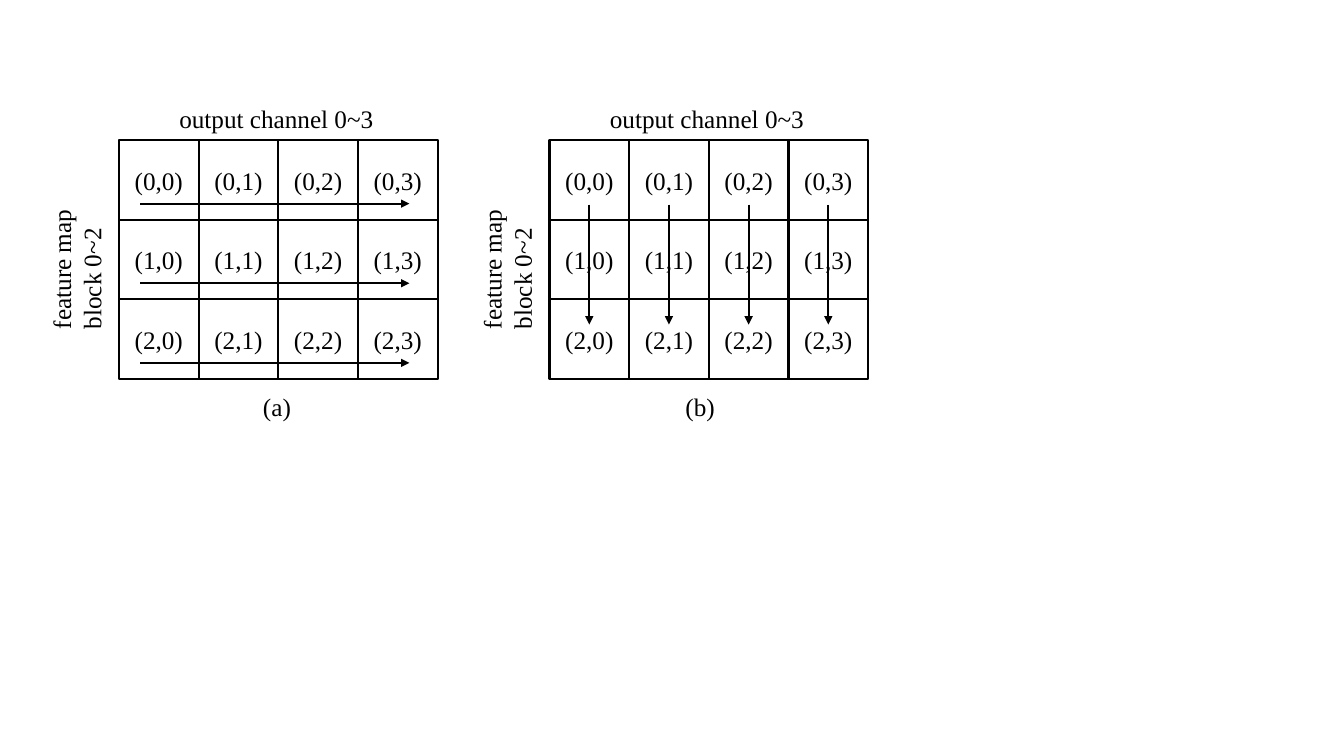
from dataclasses import dataclass
from pptx import Presentation
from pptx.dml.color import RGBColor
from pptx.enum.shapes import MSO_CONNECTOR, MSO_SHAPE
from pptx.enum.text import MSO_ANCHOR, MSO_AUTO_SIZE, PP_ALIGN
from pptx.oxml.ns import qn
from pptx.util import Inches, Pt
from lxml import etree


@dataclass(frozen=True)
class Theme:
    font: str = "Times New Roman"
    size: Pt = Pt(18)
    ink: RGBColor = RGBColor(0, 0, 0)
    line: Pt = Pt(1.5)


theme = Theme()
ROWS, COLUMNS, CELL = 3, 4, 0.79
GRID_TOP = 1.39

prs = Presentation()
prs.slide_width, prs.slide_height = Inches(13.33), Inches(7.5)
slide = prs.slides.add_slide(prs.slide_layouts[6])
shapes = slide.shapes


def write(shape, lines, align):
    frame = shape.text_frame
    frame.text = "\n".join(lines)
    for paragraph in frame.paragraphs:
        paragraph.alignment = align
        font = paragraph.runs[0].font
        font.name, font.size = theme.font, theme.size
        font.color.rgb = theme.ink


def add_arrow(x1, y1, x2, y2):
    arrow = shapes.add_connector(MSO_CONNECTOR.STRAIGHT, *map(Inches, (x1, y1, x2, y2)))
    arrow.line.color.rgb = theme.ink
    arrow.line.width = theme.line
    etree.SubElement(arrow.line._get_or_add_ln(), qn("a:tailEnd"), type="triangle")
    etree.SubElement(arrow._element.spPr, qn("a:effectLst"))


# Two panels: (a) scans along rows, (b) scans down columns
for caption, grid_left, caption_left, caption_width in (
    ("(a)", 1.18, 2.51, 0.48),
    ("(b)", 5.45, 6.7, 0.5),
):
    # Grid of blocks
    for row in range(ROWS):
        for column in range(COLUMNS):
            block = shapes.add_shape(
                MSO_SHAPE.RECTANGLE,
                Inches(grid_left + column * CELL), Inches(GRID_TOP + row * CELL),
                Inches(CELL), Inches(CELL))
            block.shadow.inherit = False
            block.fill.background()
            block.line.color.rgb = theme.ink
            block.line.width = theme.line
            block.text_frame.vertical_anchor = MSO_ANCHOR.MIDDLE
            write(block, [f"({row},{column})"], PP_ALIGN.CENTER)

    # Axis labels and caption
    for lines, left, top, width, height, rotation in (
        (["output channel 0~3"], grid_left + 0.5, 0.98, 2.15, 0.4, 0),
        (["feature map ", "block 0~2"], grid_left - 1.15, 2.28, 1.46, 0.71, 270),
        ([caption], caption_left, 3.83, caption_width, 0.4, 0),
    ):
        label = shapes.add_textbox(*map(Inches, (left, top, width, height)))
        label.rotation = rotation
        label.text_frame.word_wrap = False
        label.text_frame.auto_size = MSO_AUTO_SIZE.SHAPE_TO_FIT_TEXT
        write(label, lines, PP_ALIGN.LEFT)

    # Scan order arrows
    if caption == "(a)":
        for row in range(ROWS):
            y = GRID_TOP + 0.63 + row * CELL
            add_arrow(grid_left + 0.21, y, grid_left + 2.88, y)
    else:
        for column in range(COLUMNS):
            x = grid_left + CELL / 2 + column * CELL
            add_arrow(x, 2.03, x, 3.22)

prs.save("out.pptx")
